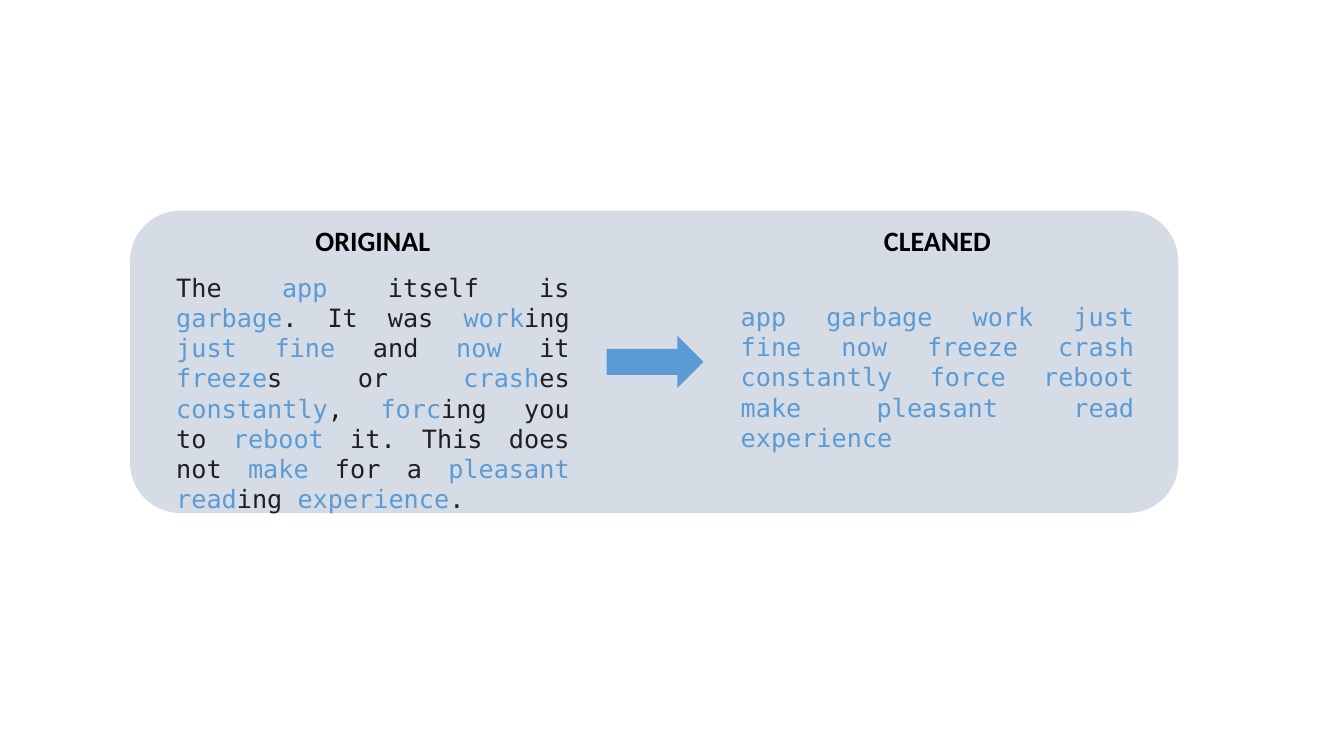
from pptx import Presentation
from pptx.dml.color import RGBColor
from pptx.enum.shapes import MSO_SHAPE
from pptx.enum.text import MSO_AUTO_SIZE, PP_ALIGN
from pptx.util import Pt

# Content: words between asterisks are the ones kept by the cleaning
COLUMNS = [
    {"heading": "ORIGINAL", "left": 118.8, "top": 190.8, "height": 158.4,
     "body": "The *app* itself is *garbage*. It was *work*ing *just fine* and "
             "*now* it *freeze*s or *crash*es *constantly*, *forc*ing you to "
             "*reboot* it. This does not *make* for a *pleasant read*ing "
             "*experience*."},
    {"heading": "CLEANED", "left": 522, "top": 211.7, "height": 93.6,
     "body": "*app garbage work just fine now freeze crash constantly force "
             "reboot make pleasant read experience*"},
]
COLUMN_WIDTH = 295.2
HEADING_TOP, HEADING_WIDTH, HEADING_HEIGHT = 156.2, 100.8, 31.7
CARD, KEPT, DROPPED, BLACK = "D6DCE5", "5B9BD5", "1F1F1F", "000000"


def color(hex_string):
    return RGBColor.from_string(hex_string)


def add_filled_shape(kind, left, top, width, height, fill):
    shape = slide.shapes.add_shape(kind, Pt(left), Pt(top), Pt(width), Pt(height))
    shape.shadow.inherit = False
    shape.fill.solid()
    shape.fill.fore_color.rgb = color(fill)
    shape.line.fill.background()


def add_text(left, top, width, height, alignment, font_name, size, runs, bold=False):
    box = slide.shapes.add_textbox(Pt(left), Pt(top), Pt(width), Pt(height))
    frame = box.text_frame
    frame.word_wrap = True
    frame.auto_size = MSO_AUTO_SIZE.SHAPE_TO_FIT_TEXT
    paragraph = frame.paragraphs[0]
    paragraph.alignment = alignment
    paragraph.font.name = font_name
    paragraph.font.size = Pt(size)
    paragraph.font.bold = bold
    for text, run_color in runs:
        run = paragraph.add_run()
        run.text = text
        run.font.color.rgb = color(run_color)


def split_marked(text):
    return [(part, KEPT if index % 2 else DROPPED)
            for index, part in enumerate(text.split("*")) if part]


presentation = Presentation()
presentation.slide_width, presentation.slide_height = Pt(960), Pt(540)
slide = presentation.slides.add_slide(presentation.slide_layouts[6])

# Card and arrow between the columns
add_filled_shape(MSO_SHAPE.ROUNDED_RECTANGLE, 92.9, 150.5, 748.8, 216, CARD)
add_filled_shape(MSO_SHAPE.RIGHT_ARROW, 433.4, 239.8, 69.1, 37.4, KEPT)

# Columns, each with a heading centred over its body
for column in COLUMNS:
    heading_left = column["left"] + (COLUMN_WIDTH - HEADING_WIDTH) / 2
    add_text(heading_left, HEADING_TOP, HEADING_WIDTH, HEADING_HEIGHT,
             PP_ALIGN.CENTER, "Calibri", 20, [(column["heading"], BLACK)], bold=True)
    add_text(column["left"], column["top"], COLUMN_WIDTH, column["height"],
             PP_ALIGN.JUSTIFY, "DejaVu Sans Mono", 18, split_marked(column["body"]))

presentation.save("out.pptx")
